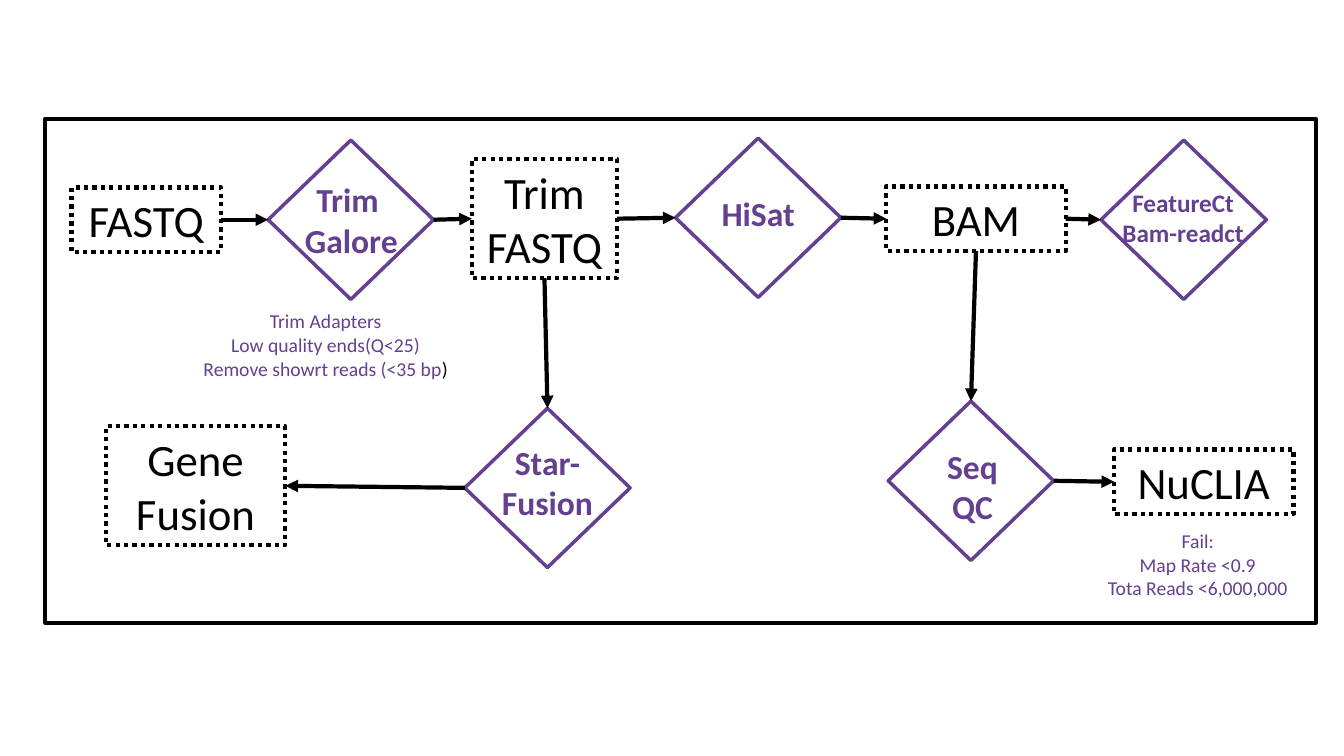
from dataclasses import dataclass

from lxml.etree import SubElement
from pptx import Presentation
from pptx.dml.color import RGBColor
from pptx.enum.dml import MSO_LINE
from pptx.enum.shapes import MSO_CONNECTOR, MSO_SHAPE
from pptx.enum.text import MSO_ANCHOR, PP_ALIGN
from pptx.oxml.ns import qn
from pptx.util import Inches, Pt


@dataclass(frozen=True)
class Theme:
    font: str = "Calibri"
    black: RGBColor = RGBColor(0x00, 0x00, 0x00)
    white: RGBColor = RGBColor(0xFF, 0xFF, 0xFF)
    purple: RGBColor = RGBColor(0x64, 0x40, 0x90)
    file_size: int = 32
    tool_size: int = 24
    small_tool_size: int = 18
    note_size: int = 14
    heavy_line: float = 3
    tool_line: float = 2.5


theme = Theme()
presentation = Presentation()
presentation.slide_width, presentation.slide_height = Inches(13.33), Inches(7.5)
slide = presentation.slides.add_slide(presentation.slide_layouts[6])


def add_outline(kind, box, color, width, fill=None):
    shape = slide.shapes.add_shape(kind, *map(Inches, box))
    shape.shadow.inherit = False
    if fill is None:
        shape.fill.background()
    else:
        shape.fill.solid()
        shape.fill.fore_color.rgb = fill
    shape.line.color.rgb = color
    shape.line.width = Pt(width)
    return shape


def write_text(shape, text, size, color, bold=False):
    frame = shape.text_frame
    frame.word_wrap = True
    frame.text = text
    for paragraph in frame.paragraphs:
        paragraph.alignment = PP_ALIGN.CENTER
        for run in paragraph.runs:
            run.font.name = theme.font
            run.font.size = Pt(size)
            run.font.bold = bold
            run.font.color.rgb = color


nodes = {}

# Data files: dotted boxes
ONE_LINE, TWO_LINES = 0.64, 1.18
files = [
    ("FASTQ", 0.71, 1.86, 1.48, ONE_LINE),
    ("Trim\nFASTQ", 4.68, 1.58, 1.44, TWO_LINES),
    ("BAM", 8.79, 1.85, 1.78, ONE_LINE),
    ("Gene\nFusion", 1.05, 4.23, 1.78, TWO_LINES),
    ("NuCLIA", 11.05, 4.46, 1.78, ONE_LINE),
]
for text, *box in files:
    shape = add_outline(MSO_SHAPE.RECTANGLE, box, theme.black, theme.heavy_line, theme.white)
    shape.line.dash_style = MSO_LINE.ROUND_DOT
    shape.text_frame.vertical_anchor = MSO_ANCHOR.MIDDLE
    write_text(shape, text, theme.file_size, theme.black)
    nodes[text] = shape

# Tools: diamonds with a label box on top
DIAMOND = (1.64, 1.58)
tools = [
    ("Trim \nGalore", (2.66, 1.39), (2.9, 1.73, 1.17, 0.91), theme.tool_size),
    ("HiSat", (6.7, 1.37), (6.62, 1.86, 1.8, 0.5), theme.tool_size),
    ("FeatureCt\nBam-readct", (10.92, 1.39), (10.68, 1.81, 2.11, 0.71), theme.small_tool_size),
    ("Seq\nQC", (8.81, 3.98), (8.87, 4.37, 1.55, 0.91), theme.tool_size),
    ("Star-Fusion", (4.61, 4.05), (4.57, 4.33, 1.72, 0.91), theme.tool_size),
]
for text, corner, label_box, size in tools:
    nodes[text] = add_outline(MSO_SHAPE.FLOWCHART_DECISION, corner + DIAMOND,
                              theme.purple, theme.tool_line, theme.white)
    label = slide.shapes.add_textbox(*map(Inches, label_box))
    write_text(label, text, size, theme.purple, bold=True)

# Notes below the steps
notes = [
    ("Trim Adapters\nLow quality ends(Q<25)\nRemove showrt reads (<35 bp", 1.78, 3.02),
    ("Fail:\nMap Rate <0.9\nTota Reads <6,000,000", 10.43, 5.2),
]
note_boxes = []
for text, left, top in notes:
    note = slide.shapes.add_textbox(Inches(left), Inches(top), Inches(2.9), Inches(0.81))
    write_text(note, text, theme.note_size, theme.purple)
    note_boxes.append(note)
bracket = note_boxes[0].text_frame.paragraphs[-1].add_run()
bracket.text = ")"
bracket.font.name = theme.font
bracket.font.size = Pt(theme.note_size)
bracket.font.color.rgb = theme.black

# Arrows, glued to the connection sites of the nodes
TOP, LEFT, BOTTOM, RIGHT = range(4)
arrows = [
    ("FASTQ", RIGHT, "Trim \nGalore", LEFT),
    ("Trim \nGalore", RIGHT, "Trim\nFASTQ", LEFT),
    ("Trim\nFASTQ", RIGHT, "HiSat", LEFT),
    ("HiSat", RIGHT, "BAM", LEFT),
    ("BAM", RIGHT, "FeatureCt\nBam-readct", LEFT),
    ("BAM", BOTTOM, "Seq\nQC", TOP),
    ("Seq\nQC", RIGHT, "NuCLIA", LEFT),
    ("Trim\nFASTQ", BOTTOM, "Star-Fusion", TOP),
    ("Star-Fusion", LEFT, "Gene\nFusion", RIGHT),
]
for source, source_site, target, target_site in arrows:
    arrow = slide.shapes.add_connector(MSO_CONNECTOR.STRAIGHT, 0, 0, 0, 0)
    arrow.begin_connect(nodes[source], source_site)
    arrow.end_connect(nodes[target], target_site)
    arrow.line.color.rgb = theme.black
    arrow.line.width = Pt(theme.heavy_line)
    SubElement(arrow.line._get_or_add_ln(), qn("a:tailEnd"), type="triangle")
    SubElement(arrow._element.spPr, qn("a:effectLst"))

# Frame around the whole pipeline
add_outline(MSO_SHAPE.RECTANGLE, (0.45, 1.18, 12.6, 5), theme.black, theme.heavy_line)

presentation.save("out.pptx")
